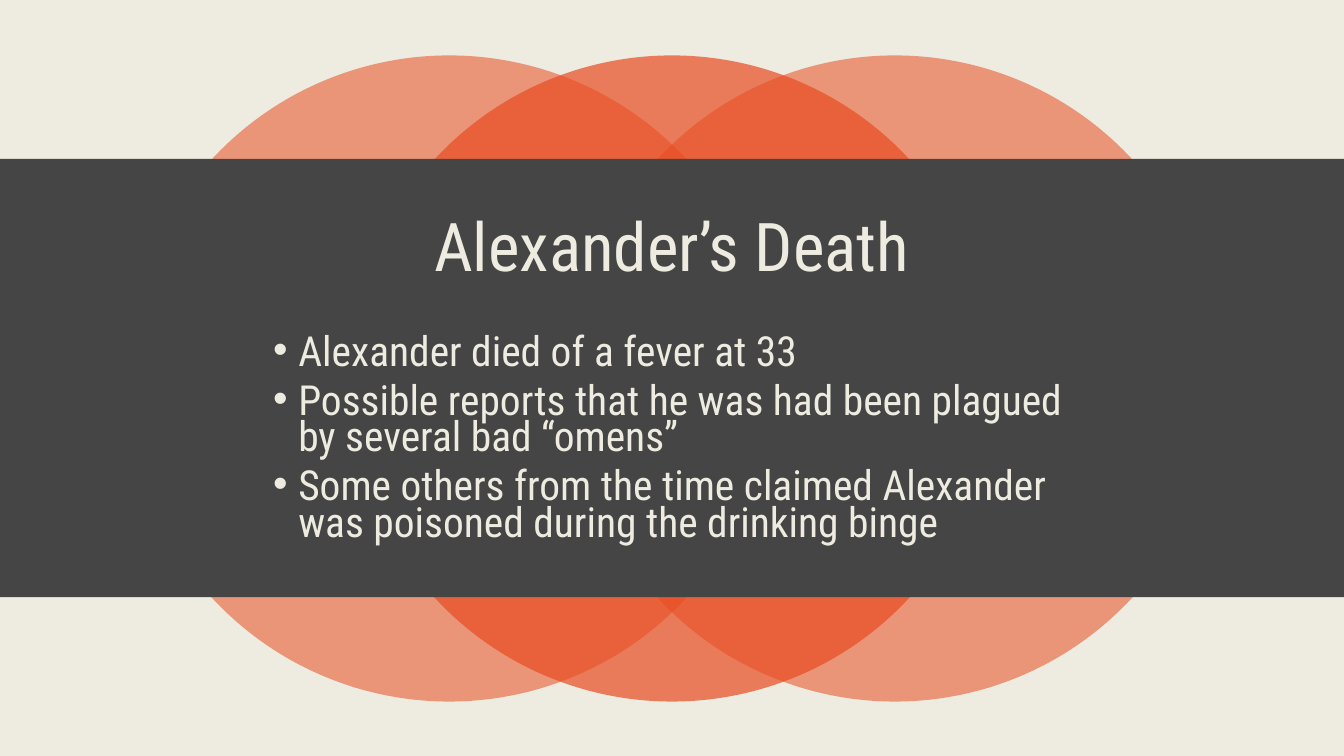
from lxml.etree import SubElement
from pptx import Presentation
from pptx.dml.color import RGBColor
from pptx.enum.shapes import MSO_SHAPE as Shape
from pptx.enum.text import MSO_ANCHOR as Anchor, PP_ALIGN as Align
from pptx.oxml.ns import qn
from pptx.util import Inches, Pt

WIDTH, HEIGHT = 13.33, 7.5
COLORS = {"cream": "EEECE1", "orange": "E84C22", "charcoal": "454545"}
FONT = "Roboto Condensed"
POINTS = [
    "Alexander died of a fever at 33",
    "Possible reports that he was had been plagued by several bad “omens”\u00a0".rstrip(),
    "Some others from the time claimed Alexander was poisoned during the drinking binge",
]


class SlideBuilder:
    """Draws styled elements on one page, placed by shares of its size."""

    def __init__(self, deck):
        self.page = deck.slides.add_slide(deck.slide_layouts[6])
        self.width, self.height = deck.slide_width, deck.slide_height

    def color(self, name):
        return RGBColor.from_string(COLORS[name])

    def frame(self, left, top, width, height):
        return (int(left * self.width), int(top * self.height),
                int(width * self.width), int(height * self.height))

    def background(self, name):
        fill = self.page.background.fill
        fill.solid()
        fill.fore_color.rgb = self.color(name)

    def shape(self, kind, area, name, opacity=100):
        shape = self.page.shapes.add_shape(kind, *self.frame(*area))
        shape.shadow.inherit = False
        shape.line.fill.background()
        shape.fill.solid()
        shape.fill.fore_color.rgb = self.color(name)
        if opacity < 100:
            tint = shape.fill._xPr.find(qn("a:solidFill"))[0]
            SubElement(tint, qn("a:alpha")).set("val", str(opacity * 1000))

    def text(self, area, lines, size, spacing, gap=0, bullets=False):
        box = self.page.shapes.add_textbox(*self.frame(*area))
        text_frame = box.text_frame
        text_frame.word_wrap = True
        text_frame.vertical_anchor = Anchor.TOP if bullets else Anchor.MIDDLE
        text_frame.text = "\n".join(lines)
        for index, para in enumerate(text_frame.paragraphs):
            para.alignment = Align.LEFT if bullets else Align.CENTER
            para.line_spacing = spacing
            para.space_before = Pt(gap if index else 0)
            if bullets:
                self.bullet(para)
            for span in para.runs:
                span.font.name = FONT
                span.font.size = Pt(size)
                span.font.color.rgb = self.color("cream")

    def bullet(self, para):
        properties = para._p.get_or_add_pPr()
        properties.set("marL", str(Inches(0.25)))
        properties.set("indent", str(-Inches(0.25)))
        SubElement(properties, qn("a:buFont")).set("typeface", "Arial")
        SubElement(properties, qn("a:buChar")).set("char", "•")


def main():
    deck = Presentation()
    deck.slide_width, deck.slide_height = Inches(WIDTH), Inches(HEIGHT)
    slide = SlideBuilder(deck)
    slide.background("cream")

    diameter = 6.41
    for offset, opacity in ((-2.21, 55), (2.21, 55), (0, 70)):
        left = (WIDTH - diameter) / 2 + offset
        circle = (left / WIDTH, 0.55 / HEIGHT, diameter / WIDTH, diameter / HEIGHT)
        slide.shape(Shape.OVAL, circle, "orange", opacity)
    slide.shape(Shape.RECTANGLE, (0, 0.21, 1, 0.58), "charcoal")

    slide.text((0.07, 0.26, 0.86, 0.14), ["Alexander’s Death"], 48, 0.9)
    slide.text((2.61 / WIDTH, 0.44, 8.12 / WIDTH, 0.31), POINTS, 29.6, 0.73,
               gap=9, bullets=True)
    deck.save("out.pptx")


if __name__ == "__main__":
    main()
